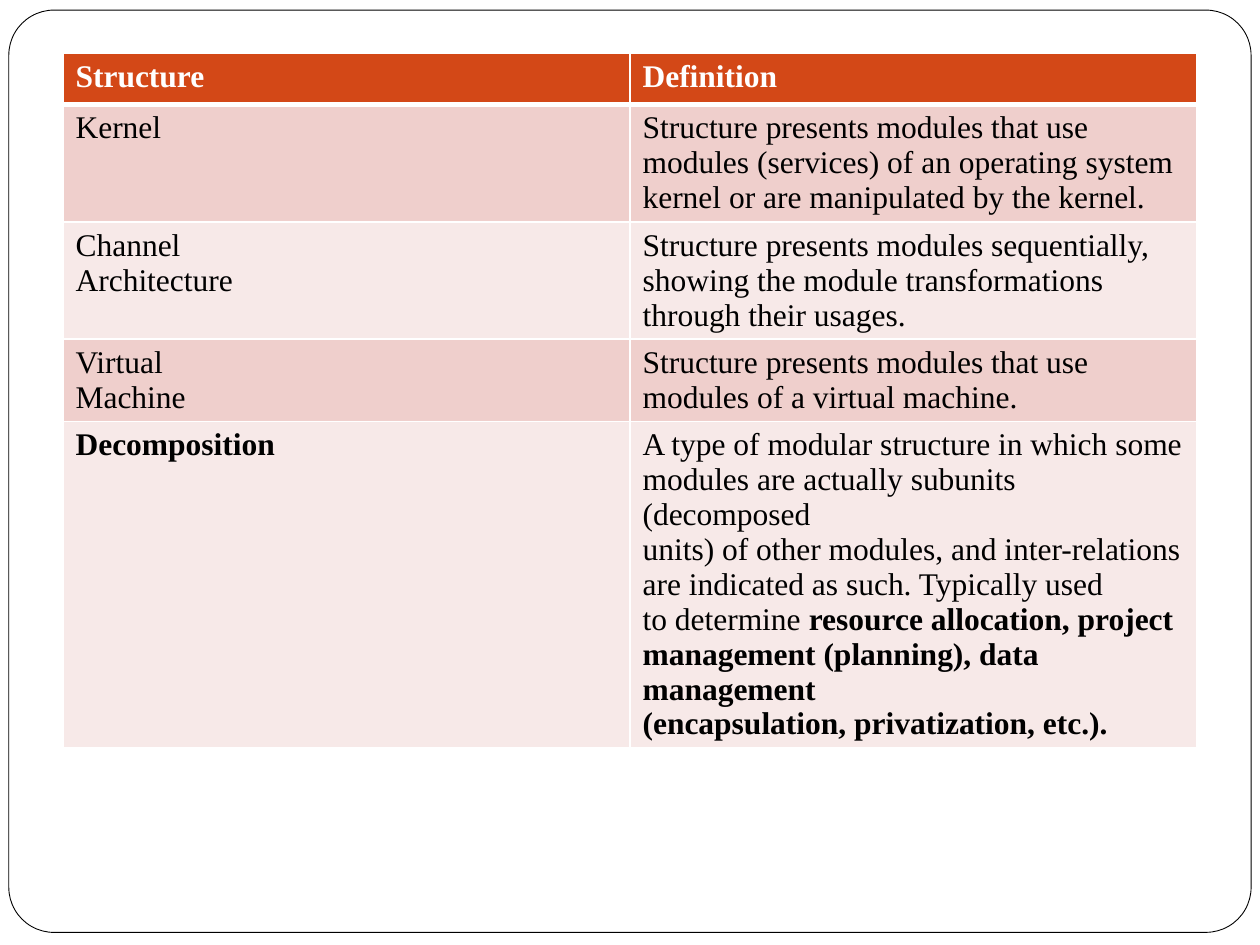
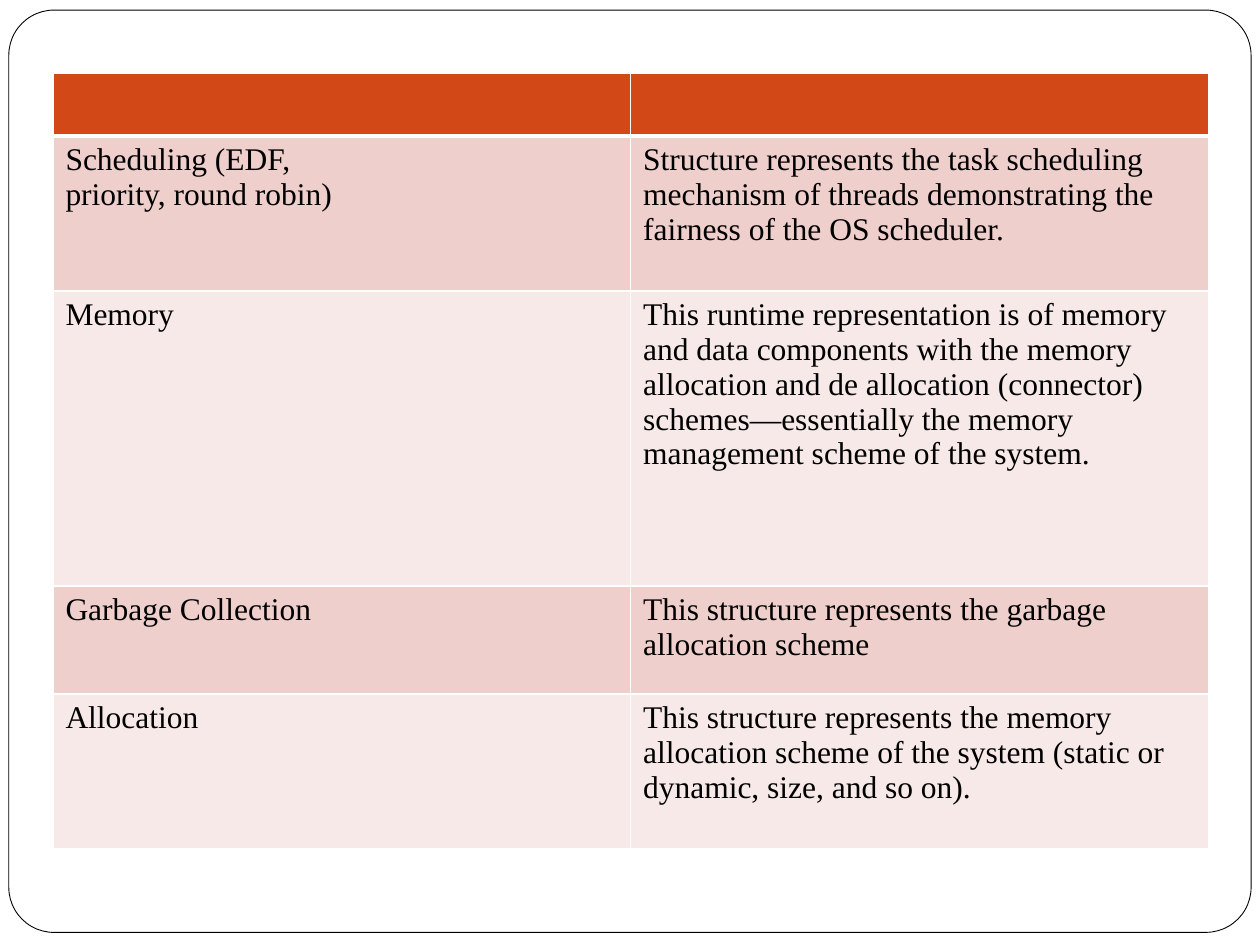
from dataclasses import dataclass
from lxml import etree
from pptx import Presentation
from pptx.dml.color import RGBColor
from pptx.enum import shapes
from pptx.oxml import ns
from pptx.util import Inches, Pt

HUES = {"white": "FFFFFF", "black": "000000", "head": "D34817",
        "odd": "EFCFCC", "even": "F7E9E8"}
FONT = "Times New Roman"
SIZE = Pt(18)


@dataclass
class Grid:
    left: float
    top: float
    width: float
    highs: list[float]
    rows: list[tuple[str, str]]


# Text between ** marks is bold; each line is a paragraph
GRIDS = [
    Grid(0.5, 0.42, 9, [0.41] * 5, [
        ("**Structure**", "**Definition**"),
        ("Kernel",
         "Structure presents modules that use modules (services) of an operating "
         "system kernel or are manipulated by the kernel."),
        ("Channel\nArchitecture",
         "Structure presents modules sequentially, showing the module "
         "transformations through their usages."),
        ("Virtual\nMachine",
         "Structure presents modules that use modules of a virtual machine."),
        ("**Decomposition**",
         "A type of modular structure in which some modules are actually subunits "
         "(decomposed\n"
         "units) of other modules, and inter-relations are indicated as such. "
         "Typically used\n"
         "to determine **resource allocation, project management (planning), data "
         "management**\n"
         "**(encapsulation, privatization, etc.).**"),
    ]),
    Grid(0.42, 0.58, 9.17, [0.5, 1.23, 2.34, 0.86, 1.23], [
        ("", ""),
        ("Scheduling (EDF,\npriority, round robin)",
         "Structure represents the task scheduling mechanism of threads "
         "demonstrating the\nfairness of the OS scheduler."),
        ("Memory",
         "This runtime representation is of memory and data components with the "
         "memory allocation and de allocation (connector) schemes—essentially the "
         "memory management scheme of the system."),
        ("Garbage Collection",
         "This structure represents the garbage allocation scheme"),
        ("Allocation",
         "This structure represents the memory allocation scheme of the system "
         "(static or\ndynamic, size, and so on)."),
    ]),
]


def paint(name: str) -> RGBColor:
    return RGBColor.from_string(HUES[name])


def frame(slide) -> None:
    """Rounded border around the slide."""
    box = slide.shapes.add_shape(
        shapes.MSO_SHAPE.ROUNDED_RECTANGLE,
        Inches(0.07), Inches(0.08), Inches(9.86), Inches(7.32))
    box.adjustments[0] = 0.049
    box.shadow.inherit = False
    box.fill.solid()
    box.fill.fore_color.rgb = paint("white")
    box.line.color.rgb = paint("black")
    box.line.width = Pt(0.5)


def edge(cell, row: int) -> None:
    """White cell borders, thicker below the header."""
    props = cell._tc.get_or_add_tcPr()
    thick = {(0, "lnB"), (1, "lnT")}
    for side in ("lnL", "lnR", "lnT", "lnB"):
        width = Pt(3 if (row, side) in thick else 1)
        line = etree.SubElement(props, ns.qn(f"a:{side}"), w=str(width))
        fill = etree.SubElement(line, ns.qn("a:solidFill"))
        etree.SubElement(fill, ns.qn("a:srgbClr"), val=HUES["white"])


def write(cell, text: str, hue: str) -> None:
    body = cell.text_frame
    for i, line in enumerate(text.split("\n")):
        para = body.add_paragraph() if i else body.paragraphs[0]
        para.font.size = SIZE
        for j, part in enumerate(line.split("**")):
            if part:
                run = para.add_run()
                run.text = part
                run.font.name = FONT
                run.font.size = SIZE
                run.font.bold = j % 2 == 1
                run.font.color.rgb = paint(hue)


def draw(slide, grid: Grid) -> None:
    table = slide.shapes.add_table(
        len(grid.rows), 2, Inches(grid.left), Inches(grid.top),
        Inches(grid.width), Inches(sum(grid.highs))).table
    for r, (high, texts) in enumerate(zip(grid.highs, grid.rows)):
        table.rows[r].height = Inches(high)
        band = "head" if r == 0 else "odd" if r % 2 else "even"
        for c, text in enumerate(texts):
            cell = table.cell(r, c)
            edge(cell, r)
            cell.fill.solid()
            cell.fill.fore_color.rgb = paint(band)
            write(cell, text, "black" if r else "white")


def main() -> None:
    deck = Presentation()
    deck.slide_width, deck.slide_height = Inches(10), Inches(7.5)
    for grid in GRIDS:
        slide = deck.slides.add_slide(deck.slide_layouts[6])
        frame(slide)
        draw(slide, grid)
    deck.save("out.pptx")


if __name__ == "__main__":
    main()
